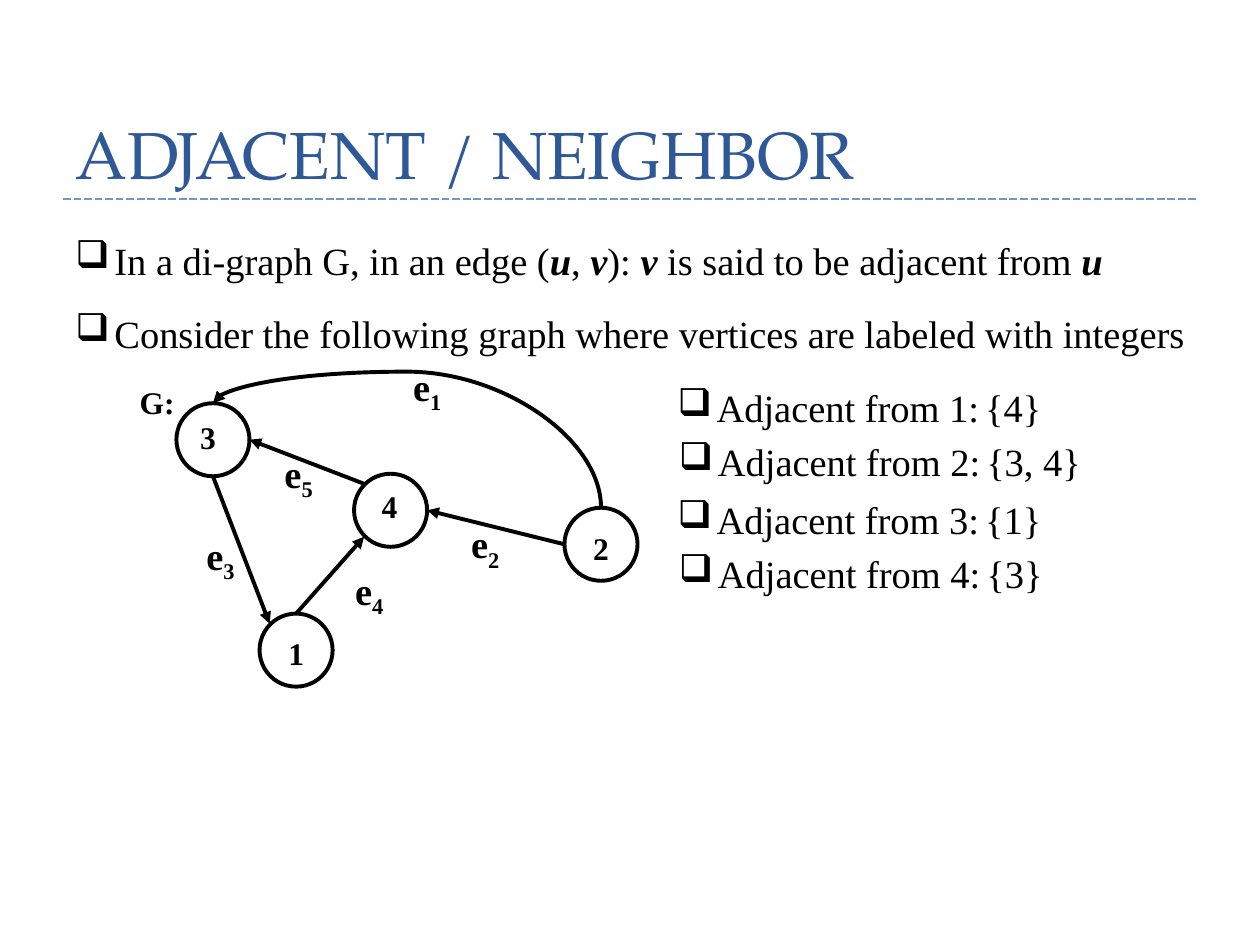
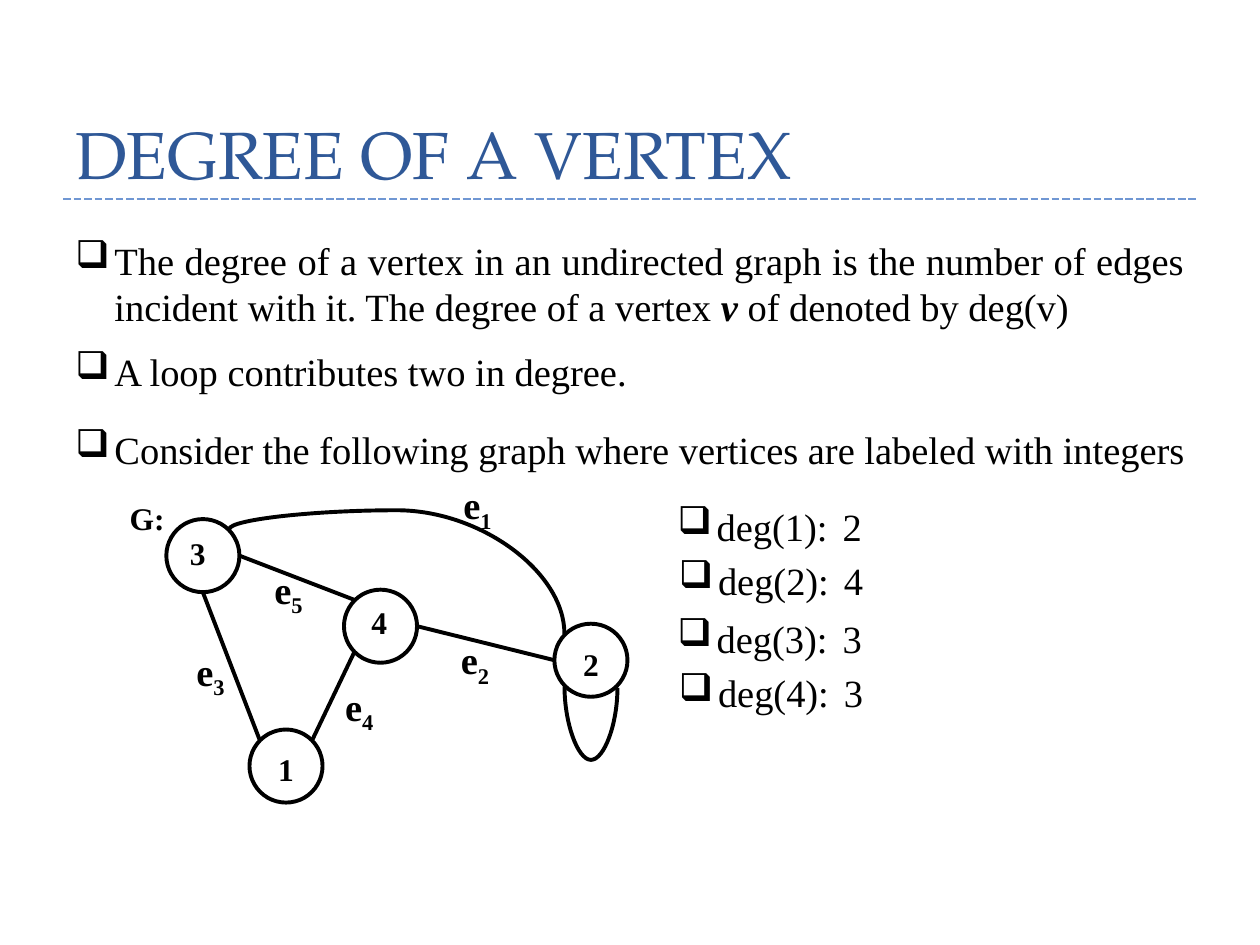
from dataclasses import dataclass
from math import cos, pi, sin

from lxml import etree
from pptx import Presentation
from pptx.dml.color import RGBColor
from pptx.enum.dml import MSO_LINE
from pptx.enum.shapes import MSO_CONNECTOR, MSO_SHAPE
from pptx.enum.text import MSO_ANCHOR, MSO_AUTO_SIZE, PP_ALIGN
from pptx.oxml.ns import qn
from pptx.util import Inches, Pt

STRAIGHT, CURVE = MSO_CONNECTOR.STRAIGHT, MSO_CONNECTOR.CURVE
OVAL = MSO_SHAPE.OVAL
DASH = MSO_LINE.SQUARE_DOT
BOTTOM, TOP = MSO_ANCHOR.BOTTOM, MSO_ANCHOR.TOP
LEFT, JUSTIFY = PP_ALIGN.LEFT, PP_ALIGN.JUSTIFY
GROW, FIXED = MSO_AUTO_SIZE.SHAPE_TO_FIT_TEXT, MSO_AUTO_SIZE.NONE


@dataclass(frozen=True)
class Theme:
    ink: RGBColor = RGBColor(0, 0, 0)
    title: RGBColor = RGBColor(0x2F, 0x58, 0x97)
    rule: RGBColor = RGBColor(0x70, 0x97, 0xD3)
    head: str = "TeX Gyre Pagella"
    body: str = "Times New Roman"
    big: int = 38
    mid: int = 22
    small: int = 18
    stroke: float = 2.25


THEME = Theme()
SIZE = 0.58
NODES = {"1": (2.06, 4.87), "2": (4.48, 4.03), "3": (1.4, 3.2), "4": (2.81, 3.76)}
DIGITS = {"1": (0.13, 0.11), "2": (0.13, 0.12), "3": (0.09, 0.07), "4": (0.12, 0.06)}
LABELS = {"2": (3.64, 4.08), "3": (1.54, 4.17), "4": (2.72, 4.45), "5": (2.16, 3.52)}
ANGLES = {"right": 0, "low right": 1, "bottom": 2, "low left": 3,
          "left": 4, "top left": 5, "top": 6, "top right": 7}
ROWS = (0, 0.43, 0.89, 1.32)
TASK = "Consider the following graph where vertices are labeled with integers"


def text(slide, runs, at, size=THEME.mid, font=THEME.body, color=THEME.ink,
         bold=False, bullet=False, wrap=False, align=LEFT, anchor=TOP,
         fit=GROW, space=None):
    frame = slide.shapes.add_textbox(*map(Inches, at)).text_frame
    frame.word_wrap = wrap
    frame.auto_size = fit
    frame.vertical_anchor = anchor
    para = frame.paragraphs[0]
    para.alignment = align
    if space:
        para.line_spacing = Pt(space)
    if bullet:
        props = para._p.get_or_add_pPr()
        props.set("marL", str(Inches(0.31)))
        props.set("indent", str(Inches(-0.31)))
        etree.SubElement(props, qn("a:buChar")).set("char", "❑")
    if isinstance(runs, str):
        runs = [(runs, "")]
    for words, style in runs:
        run = para.add_run()
        run.text = words
        run.font.name = font
        run.font.size = Pt(size)
        run.font.color.rgb = color
        run.font.bold = bold or style == "var"
        run.font.italic = style == "var"
        if style == "sub":
            run._r.get_or_add_rPr().set("baseline", "-25000")


def line(slide, start, end, kind=STRAIGHT, color=THEME.ink,
         width=THEME.stroke, dash=None, arrow=False):
    link = slide.shapes.add_connector(kind, *map(Inches, (*start, *end)))
    link.line.color.rgb = color
    link.line.width = Pt(width)
    if dash:
        link.line.dash_style = dash
    if arrow:
        etree.SubElement(link.line._get_or_add_ln(), qn("a:tailEnd")).set("type", "triangle")
    etree.SubElement(link._element.spPr, qn("a:effectLst"))
    return link


def arc(slide, start, end, peak, arrow=False):
    wide = end[0] - start[0]
    rise = round(end[1] - start[1], 2) or 0.01
    mid = (start[0] + end[0]) / 2, start[1] + rise / 2
    half = abs(rise) / 2, abs(wide) / 2
    link = line(slide, (mid[0] - half[0], mid[1] - half[1]),
                (mid[0] + half[0], mid[1] + half[1]), kind=CURVE, arrow=arrow)
    form = link._element.spPr.find(qn("a:xfrm"))
    form.set("rot", str(270 * 60000))
    form.set("flipH" if wide > 0 else "flipV", "1")
    geom = link._element.spPr.find(qn("a:prstGeom"))
    guides = geom.find(qn("a:avLst"))
    if guides is None:
        guides = etree.SubElement(geom, qn("a:avLst"))
    bend = round((peak - start[1]) / rise * 100000)
    guide = etree.SubElement(guides, qn("a:gd"))
    guide.set("name", "adj1")
    guide.set("fmla", f"val {bend}")


def point(name, side, shift):
    turn = ANGLES[side] * pi / 4
    x, y = NODES[name]
    return (round(x + shift[0] + SIZE / 2 * (1 + cos(turn)), 2),
            round(y + shift[1] + SIZE / 2 * (1 + sin(turn)), 2))


def node(slide, name, shift):
    x, y = NODES[name][0] + shift[0], NODES[name][1] + shift[1]
    ring = slide.shapes.add_shape(OVAL, *map(Inches, (x, y, SIZE, SIZE)))
    ring.shadow.inherit = False
    ring.fill.background()
    ring.line.color.rgb = THEME.ink
    ring.line.width = Pt(THEME.stroke)
    dx, dy = DIGITS[name]
    text(slide, name, (x + dx, y + dy, 0.33, 0.4), size=THEME.small, bold=True)


def label(slide, number, x, y):
    text(slide, [("e", ""), (number, "sub")], (x, y, 0.44, 0.47), bold=True)


def graph(slide, shift, first, last, curves, arrow=False):
    dx, dy = shift
    text(slide, "G:", (1.01 + dx, 2.99 + dy, 0.48, 0.4), size=THEME.small, bold=True)
    for name in NODES:
        node(slide, name, shift)
    label(slide, "1", *first)
    for number, (x, y) in LABELS.items():
        label(slide, number, x + dx, y + dy)
    edges = [("2", "left", "4", "right"), ("4", "top left", "3", "right"),
             ("3", "bottom", "1", "top left"), last]
    for tail, out, head, into in edges:
        line(slide, point(tail, out, shift), point(head, into, shift), arrow=arrow)
    for tail, out, head, into, peak in curves:
        arc(slide, point(tail, out, shift), point(head, into, shift), peak, arrow)


def answers(slide, top, width, left, pairs):
    for i, (name, value, room) in enumerate(pairs):
        y, step = top + ROWS[i], 0.01 * (i % 2)
        text(slide, name, (5.28 + step, y, width, 0.47), bullet=True)
        text(slide, value, (left + step, y, room, 0.47))


def point_text(slide, runs, top, high=0.47):
    text(slide, runs, (0.5, top, 9, high), bullet=True, wrap=True, align=JUSTIFY)


def page(deck, title, task):
    slide = deck.slides.add_slide(deck.slide_layouts[6])
    line(slide, (0.5, 1.58), (9.5, 1.58), color=THEME.rule, width=1.5, dash=DASH)
    text(slide, title, (0.5, -0.17, 9, 1.75), size=THEME.big, font=THEME.head,
         color=THEME.title, wrap=True, anchor=BOTTOM, fit=FIXED, space=58)
    text(slide, TASK, (0.5, task, 9.19, 0.47), bullet=True)
    return slide


def adjacent(deck):
    slide = page(deck, "ADJACENT / NEIGHBOR", 2.41)
    point_text(slide, [("In a di-graph G, in an edge (", ""), ("u", "var"), (", ", ""),
                       ("v", "var"), ("): ", ""), ("v", "var"),
                       (" is said to be adjacent from ", ""), ("u", "var")], 1.83)
    graph(slide, (0, 0), (3.18, 2.83), ("1", "top", "4", "low left"),
          [("2", "top", "3", "top", 2.95)], arrow=True)
    sets = [("{4}", 0.65), ("{3, 4}", 0.96), ("{1}", 0.65), ("{3}", 0.65)]
    answers(slide, 3, 2.63, 7.72,
            [(f"Adjacent from {i}:", *pair) for i, pair in enumerate(sets, 1)])


def degree(deck):
    slide = page(deck, "DEGREE OF A VERTEX", 3.33)
    point_text(slide, [("The degree of a vertex in an undirected graph is the number of edges "
                        "incident with it. The degree of a vertex ", ""), ("v", "var"),
                       (" of denoted by deg(v)", "")], 1.83, 0.84)
    point_text(slide, "A loop contributes two in degree.", 2.71)
    graph(slide, (-0.08, 0.92), (3.58, 3.77), ("4", "low left", "1", "top right"),
          [("3", "top right", "2", "top left", 4.05),
           ("2", "low left", "2", "low right", 6.04)])
    answers(slide, 3.94, 1.41, 6.59,
            [(f"deg({i}):", value, 0.36) for i, value in enumerate("2433", 1)])


def main():
    deck = Presentation()
    deck.slide_width, deck.slide_height = Inches(10), Inches(7.5)
    adjacent(deck)
    degree(deck)
    deck.save("out.pptx")


if __name__ == "__main__":
    main()
